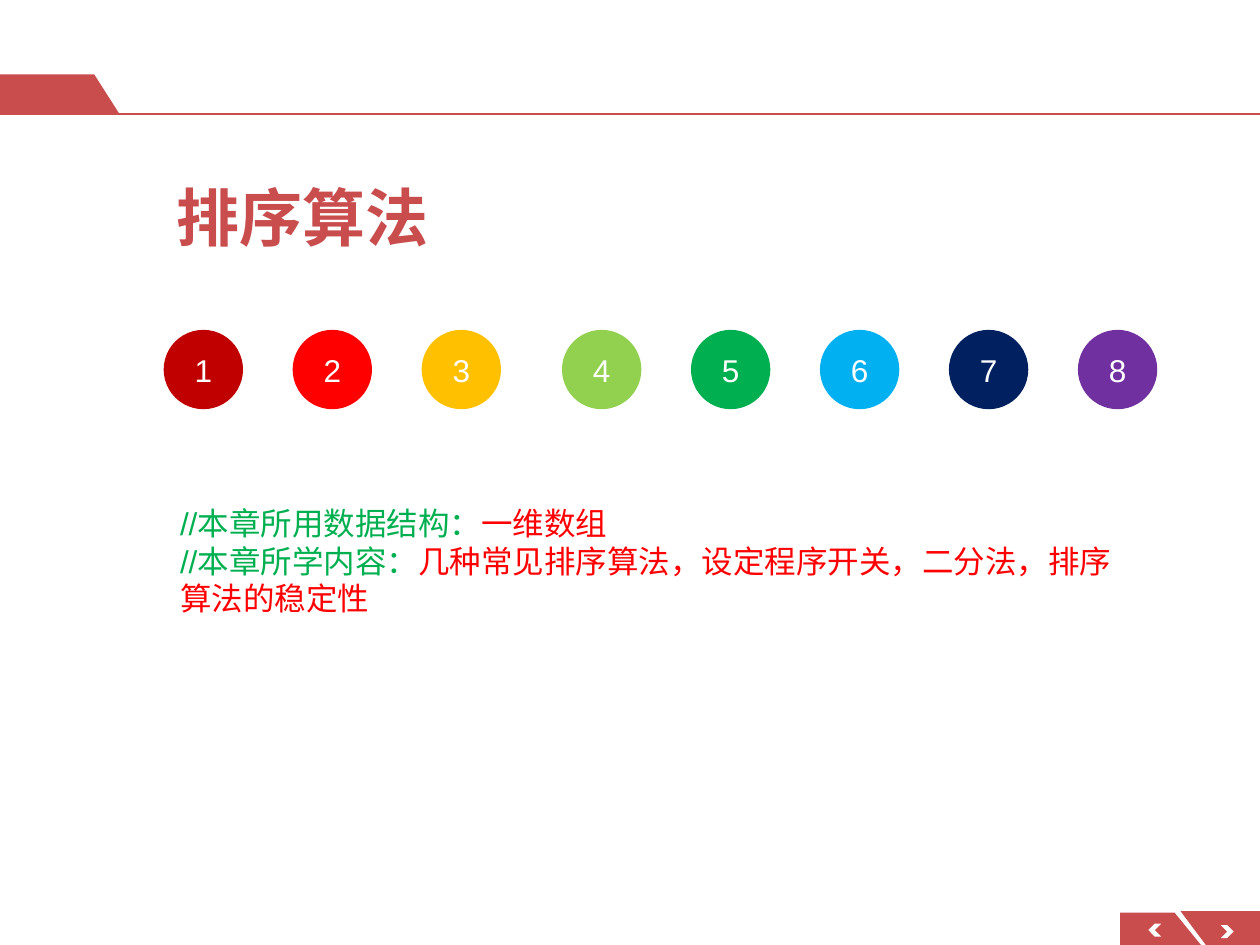
from lxml import etree
from pptx import Presentation
from pptx import util as u
from pptx.dml.color import RGBColor
from pptx.enum import shapes, text
from pptx.oxml.ns import qn

BRICK = RGBColor(0xC9, 0x4D, 0x4D)
WHITE = RGBColor(0xFF, 0xFF, 0xFF)
RED = RGBColor(0xFF, 0x00, 0x00)
GREEN = RGBColor(0x00, 0xB0, 0x50)
DOTS = [
    RGBColor(0xC0, 0x00, 0x00), RED, RGBColor(0xFF, 0xC0, 0x00),
    RGBColor(0x92, 0xD0, 0x50), GREEN, RGBColor(0x00, 0xB0, 0xF0),
    RGBColor(0x00, 0x20, 0x60), RGBColor(0x70, 0x30, 0xA0),
]
LATIN = "Arial"
HAN = "Noto Sans CJK SC"
NOTES = [
    ("//本章所用数据结构：", "一维数组"),
    ("//本章所学内容：", "几种常见排序算法，设定程序开关，二分法，排序算法的稳定性"),
]


def style(run, size, color, face=LATIN, bold=False):
    """Set the fonts, size and colour of a run."""
    font = run.font
    font.size, font.bold, font.name = u.Pt(size), bold, face
    font.color.rgb = color
    etree.SubElement(run._r.get_or_add_rPr(), qn("a:ea"), typeface=HAN)


def paint(shape, color):
    """Give a shape a flat fill with no line or shadow."""
    shape.shadow.inherit = False
    shape.fill.solid()
    shape.fill.fore_color.rgb = color
    shape.line.fill.background()


def poly(slide, left, top, points, color):
    """Draw a filled outline from points relative to left and top."""
    spots = [(u.Cm(left + x), u.Cm(top + y)) for x, y in points]
    pen = slide.shapes.build_freeform(*spots[0])
    pen.add_line_segments(spots[1:])
    paint(pen.convert_to_shape(), color)


def header(slide, left, top, width, height):
    """Place the slanted tab and the rule under it."""
    tab = [(0, 0), (1.9, 0), (2.41, height), (0, height)]
    poly(slide, left, top, tab, BRICK)
    base = u.Cm(top + height)
    rule = slide.shapes.add_connector(
        shapes.MSO_CONNECTOR.STRAIGHT, u.Cm(left), base, u.Cm(left + width), base)
    rule.line.color.rgb = BRICK
    rule.line.width = u.Pt(1)
    etree.SubElement(rule._element.spPr, qn("a:effectLst"))


def arrows(slide, left, top, width, height):
    """Place the back and next tabs with their chevrons."""
    back = [(0, 0.03), (1.1, 0.03), (1.63, height), (0, height)]
    ahead = [(1.22, 0), (width, 0), (width, height), (1.73, height)]
    for tab in (back, ahead):
        poly(slide, left, top, tab, BRICK)
    mark = [(0, 0), (0.13, 0), (0.26, 0.13), (0.13, 0.26), (0, 0.26), (0.13, 0.13)]
    flip = [(0.26 - x, y) for x, y in mark]
    poly(slide, left + 0.57, top + 0.25, flip, WHITE)
    poly(slide, left + 2.03, top + 0.28, mark, WHITE)


def heading(slide, left, top, width, height):
    """Place and format the title."""
    title = slide.shapes.title
    title.left, title.top = u.Cm(left), u.Cm(top)
    title.width, title.height = u.Cm(width), u.Cm(height)
    frame = title.text_frame
    frame.text = "排序算法"
    frame.auto_size = text.MSO_AUTO_SIZE.NONE
    frame.vertical_anchor = text.MSO_ANCHOR.TOP
    line = frame.paragraphs[0]
    line.alignment = text.PP_ALIGN.LEFT
    style(line.runs[0], 36, BRICK, HAN, True)


def dots(slide, left, top, size, pitch):
    """Place the numbered circles, with a wider gap after the third."""
    for i, color in enumerate(DOTS):
        shift = 0.23 if i > 2 else 0
        dot = slide.shapes.add_shape(
            shapes.MSO_SHAPE.OVAL, u.Cm(left + i * pitch + shift), u.Cm(top),
            u.Cm(size), u.Cm(size))
        paint(dot, color)
        frame = dot.text_frame
        frame.text = str(i + 1)
        frame.vertical_anchor = text.MSO_ANCHOR.MIDDLE
        line = frame.paragraphs[0]
        line.alignment = text.PP_ALIGN.CENTER
        style(line.runs[0], 18, WHITE)


def notes(slide, left, top, width, height):
    """Place the two-colour chapter comments."""
    box = slide.shapes.add_textbox(u.Cm(left), u.Cm(top), u.Cm(width), u.Cm(height))
    frame = box.text_frame
    frame.word_wrap = True
    for i, parts in enumerate(NOTES):
        line = frame.add_paragraph() if i else frame.paragraphs[0]
        for words, color in zip(parts, (GREEN, RED)):
            run = line.add_run()
            run.text = words
            style(run, 18, color)


def main():
    """Build and save the slide."""
    deck = Presentation()
    deck.slide_width, deck.slide_height = u.Cm(25.4), u.Cm(19.05)
    slide = deck.slides.add_slide(deck.slide_layouts[5])
    header(slide, 0, 1.5, 25.4, 0.8)
    arrows(slide, 22.58, 18.37, 2.82, 0.68)
    heading(slide, 3.3, 3.48, 14.2, 1.78)
    dots(slide, 3.3, 6.65, 1.6, 2.6)
    notes(slide, 3.38, 10.03, 19.74, 2.54)
    deck.save("out.pptx")


if __name__ == "__main__":
    main()
